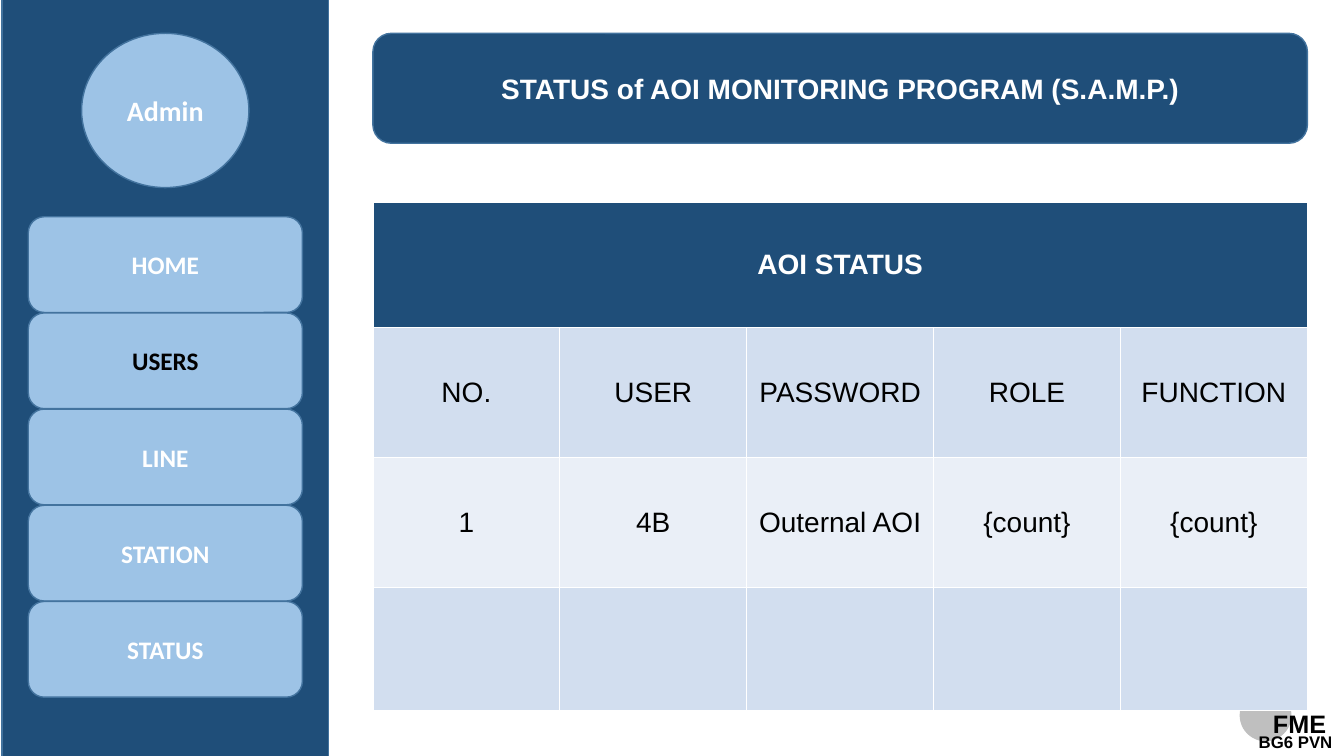
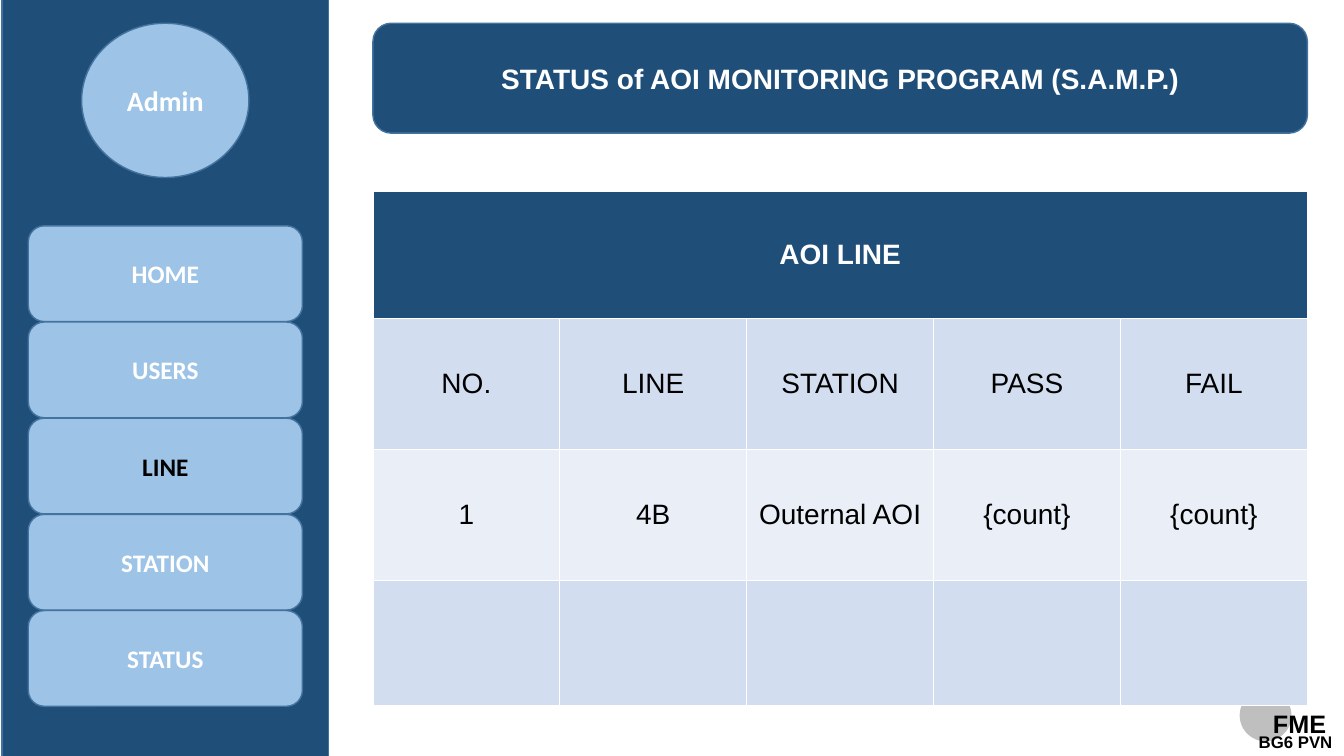
from pptx import Presentation
from pptx.dml.color import RGBColor
from pptx.enum.shapes import MSO_SHAPE
from pptx.enum.text import MSO_ANCHOR, PP_ALIGN
from pptx.util import Pt

NAVY = RGBColor(0x1F, 0x4E, 0x79)
SKY = RGBColor(0x9D, 0xC3, 0xE6)
EDGE = RGBColor(0x43, 0x73, 0x9E)
BAND_DARK = RGBColor(0xD2, 0xDE, 0xEF)
BAND_LIGHT = RGBColor(0xEA, 0xEF, 0xF7)
GRAY = RGBColor(0xBF, 0xBF, 0xBF)
WHITE = RGBColor(0xFF, 0xFF, 0xFF)
BLACK = RGBColor(0, 0, 0)

RECT = MSO_SHAPE.RECTANGLE
ROUND = MSO_SHAPE.ROUNDED_RECTANGLE
OVAL = MSO_SHAPE.OVAL
MIDDLE = MSO_ANCHOR.MIDDLE
LEFT, CENTER = PP_ALIGN.LEFT, PP_ALIGN.CENTER

TITLE = "STATUS of AOI MONITORING PROGRAM (S.A.M.P.)"
MENU = ["HOME", "USERS", "LINE", "STATION", "STATUS"]
FOOTER = [("FME", 18, (902.2, 502.6, 55.4, 28.8)),
          ("BG6 PVN", 12, (892, 519, 67, 21.6))]
SAMPLE = ["1", "4B", "Outernal AOI", "{count}", "{count}"]
PAGES = [
    {"active": "USERS", "top": 23.8, "menu_top": 154.8, "table_top": 144.7,
     "heading": "AOI STATUS", "row_heights": [89.3, 92.9, 92.9, 87.8],
     "rows": [["NO.", "USER", "PASSWORD", "ROLE", "FUNCTION"], SAMPLE, [""] * 5]},
    {"active": "LINE", "top": 16.6, "menu_top": 161.3, "table_top": 136.8,
     "heading": "AOI LINE", "row_heights": [90.7, 93.6, 93.6, 89.3],
     "rows": [["NO.", "LINE", "STATION", "PASS", "FAIL"], SAMPLE, [""] * 5]},
]

MAIN_LEFT, MAIN_WIDTH = 266.4, 667.5
BUTTON_LEFT, BUTTON_WIDTH, BUTTON_HEIGHT, BUTTON_PITCH = 20.2, 195.8, 68.4, 68.7


def write(tf, text, size=20, font="Arial", color=WHITE, bold=True, align=CENTER):
    p = tf.paragraphs[0]
    p.alignment = align
    r = p.add_run()
    r.text = text
    r.font.size = Pt(size)
    r.font.name = font
    r.font.bold = bold
    r.font.color.rgb = color


def add_box(s, kind, box, fill, line=EDGE, text="", **fmt):
    sp = s.shapes.add_shape(kind, *map(Pt, box))
    sp.shadow.inherit = False
    sp.fill.solid()
    sp.fill.fore_color.rgb = fill
    sp.line.color.rgb = line
    sp.line.width = Pt(1)
    if text:
        sp.text_frame.vertical_anchor = MIDDLE
        write(sp.text_frame, text, **fmt)


def add_footer(s):
    add_box(s, OVAL, (886, 493, 36, 36), GRAY, line=GRAY)
    for text, size, box in FOOTER:
        tf = s.shapes.add_textbox(*map(Pt, box)).text_frame
        tf.word_wrap = False
        write(tf, text, size=size, color=BLACK, align=LEFT)


def add_sidebar(s, page):
    add_box(s, RECT, (1.4, -1.4, 233.3, 542.2), NAVY)
    add_box(s, OVAL, (58.3, page["top"], 119.5, 110.2), SKY, text="Admin", font="Calibri")
    for i, label in enumerate(MENU):
        y = page["menu_top"] + i * BUTTON_PITCH
        add_box(s, ROUND, (BUTTON_LEFT, y, BUTTON_WIDTH, BUTTON_HEIGHT), SKY,
                text=label, size=18, font="Calibri",
                color=BLACK if label == page["active"] else WHITE)


def fill_cell(cell, text, fill, **fmt):
    cell.fill.solid()
    cell.fill.fore_color.rgb = fill
    cell.vertical_anchor = MIDDLE
    if text:
        write(cell.text_frame, text, **fmt)


def add_status_table(s, page):
    rows, heights = page["rows"], page["row_heights"]
    cols = len(rows[0])
    table = s.shapes.add_table(len(heights), cols, Pt(MAIN_LEFT), Pt(page["table_top"]),
                               Pt(MAIN_WIDTH), Pt(sum(heights))).table
    for col in table.columns:
        col.width = Pt(MAIN_WIDTH / cols)
    for row, height in zip(table.rows, heights):
        row.height = Pt(height)
    table.cell(0, 0).merge(table.cell(0, cols - 1))
    fill_cell(table.cell(0, 0), page["heading"], NAVY)
    for i, values in enumerate(rows, 1):
        for j, value in enumerate(values):
            fill_cell(table.cell(i, j), value, BAND_DARK if i % 2 else BAND_LIGHT,
                      color=BLACK, bold=False)


def main():
    """Build the monitoring program screens."""
    prs = Presentation()
    prs.slide_width, prs.slide_height = Pt(960), Pt(540)
    for page in PAGES:
        s = prs.slides.add_slide(prs.slide_layouts[6])
        add_footer(s)
        add_sidebar(s, page)
        add_box(s, ROUND, (MAIN_LEFT, page["top"], MAIN_WIDTH, 78.5), NAVY, text=TITLE)
        add_status_table(s, page)
    prs.save("out.pptx")


if __name__ == "__main__":
    main()
